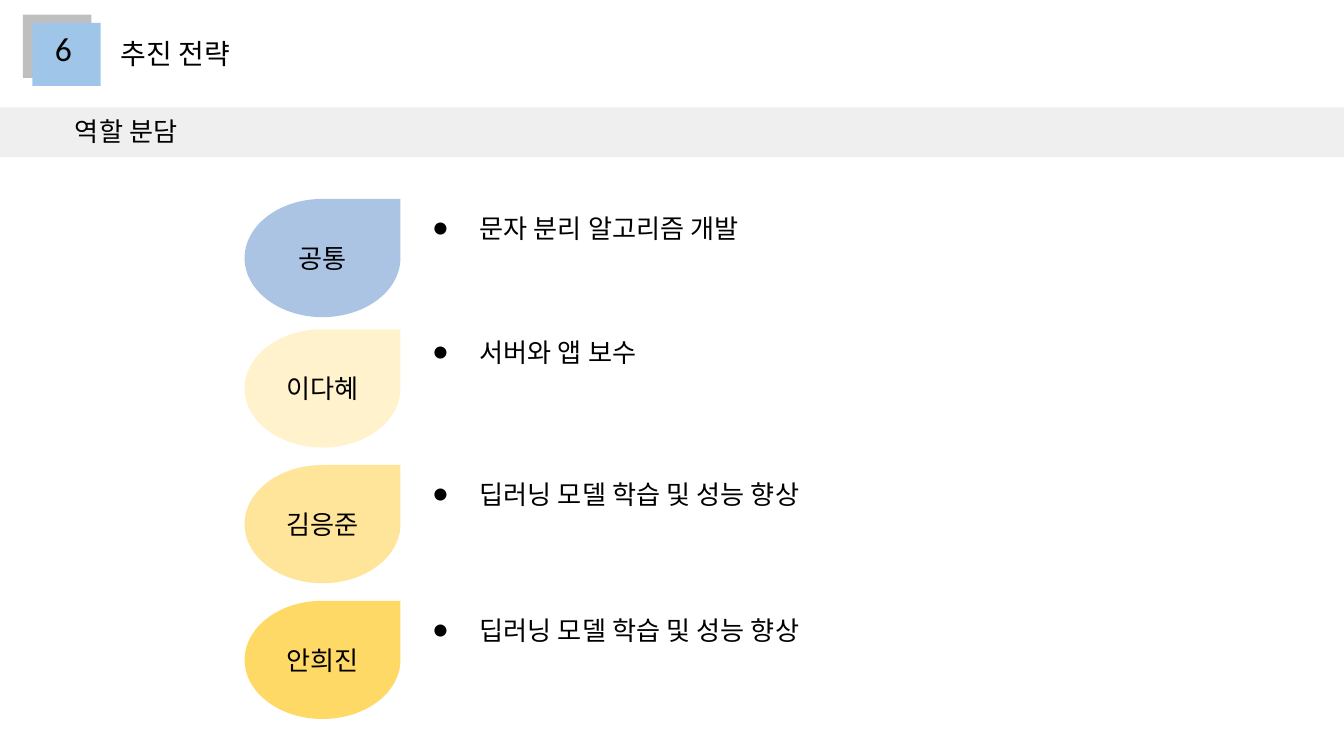
from dataclasses import dataclass

from lxml import etree
from pptx import Presentation
from pptx.dml.color import RGBColor
from pptx.enum.shapes import MSO_SHAPE
from pptx.enum.text import MSO_ANCHOR, PP_ALIGN
from pptx.oxml.ns import qn
from pptx.util import Inches, Pt

RECTANGLE, TEARDROP = MSO_SHAPE.RECTANGLE, MSO_SHAPE.TEAR
TOP, MIDDLE = MSO_ANCHOR.TOP, MSO_ANCHOR.MIDDLE
LEFT, CENTER = PP_ALIGN.LEFT, PP_ALIGN.CENTER

SECTION_NUMBER = "6"
SECTION_TITLE = "추진 전략"
SUBTITLE = "역할 분담"
ROLES = [
    {"member": "공통", "task": "문자 분리 알고리즘 개발", "color": "ACC4E4", "top": 1.48, "task_top": 1.48},
    {"member": "이다혜", "task": "서버와 앱 보수", "color": "FFF2CC", "top": 2.45, "task_top": 2.4},
    {"member": "김응준", "task": "딥러닝 모델 학습 및 성능 향상", "color": "FFE599", "top": 3.46, "task_top": 3.46},
    {"member": "안희진", "task": "딥러닝 모델 학습 및 성능 향상", "color": "FFD966", "top": 4.47, "task_top": 4.47},
]


@dataclass(frozen=True)
class Theme:
    ink: str = "000000"
    badge_back: str = "BFBFBF"
    badge: str = "9FC5E8"
    band: str = "EFEFEF"
    body_font: str = "Calibri"
    member_font: str = "Arial"
    number_size: int = 18
    title_size: int = 15
    body_size: int = 14


THEME = Theme()
WIDTH = 10
HEIGHT = WIDTH * 9 / 16
MEMBER_LEFT, MEMBER_WIDTH, MEMBER_HEIGHT = 1.82, 1.16, 0.88
TASK_LEFT, TASK_WIDTH, TASK_HEIGHT = 2.97, 5.76, 0.74
INSET = 0.1


def write(holder, words, size, font, align=LEFT, anchor=TOP):
    frame = holder.text_frame
    frame.text = words
    frame.word_wrap = True
    frame.vertical_anchor = anchor
    frame.margin_left = frame.margin_right = Inches(INSET)
    frame.margin_top = frame.margin_bottom = Inches(INSET)
    paragraph = frame.paragraphs[0]
    paragraph.alignment = align
    run = paragraph.runs[0]
    run.font.size = Pt(size)
    run.font.name = font
    run.font.color.rgb = RGBColor.from_string(THEME.ink)
    for script in ("a:ea", "a:cs"):
        etree.SubElement(run._r.get_or_add_rPr(), qn(script), typeface=font)
    return paragraph


def add_filled(slide, preset, area, color):
    filled = slide.shapes.add_shape(preset, *map(Inches, area))
    filled.shadow.inherit = False
    filled.fill.solid()
    filled.fill.fore_color.rgb = RGBColor.from_string(color)
    filled.line.fill.background()
    return filled


def add_label(slide, area, words, size):
    label = slide.shapes.add_textbox(*map(Inches, area))
    return write(label, words, size, THEME.body_font)


def add_bullet(paragraph):
    properties = paragraph._p.get_or_add_pPr()
    properties.set("marL", str(Inches(0.5)))
    properties.set("indent", str(Inches(-0.35)))
    bullet_color = etree.SubElement(properties, qn("a:buClr"))
    etree.SubElement(bullet_color, qn("a:srgbClr"), val=THEME.ink)
    etree.SubElement(properties, qn("a:buFont"), typeface=THEME.body_font)
    etree.SubElement(properties, qn("a:buChar"), char="●")


def add_header(slide):
    add_filled(slide, RECTANGLE, (0.17, 0.11, 0.51, 0.47), THEME.badge_back)
    add_filled(slide, RECTANGLE, (0.24, 0.17, 0.51, 0.47), THEME.badge)
    add_label(slide, (0.31, 0.11, 0.92, 0.83), SECTION_NUMBER, THEME.number_size)
    add_label(slide, (0.8, 0.17, 3.2, 0.54), SECTION_TITLE, THEME.title_size)
    add_filled(slide, RECTANGLE, (0, 0.8, WIDTH, 0.37), THEME.band)
    add_label(slide, (0.46, 0.76, 6.57, 0.31), SUBTITLE, THEME.body_size)


def add_role(slide, role):
    member_area = (MEMBER_LEFT, role["top"], MEMBER_WIDTH, MEMBER_HEIGHT)
    member = add_filled(slide, TEARDROP, member_area, role["color"])
    write(member, role["member"], THEME.body_size, THEME.member_font, CENTER, MIDDLE)
    task_area = (TASK_LEFT, role["task_top"], TASK_WIDTH, TASK_HEIGHT)
    add_bullet(add_label(slide, task_area, role["task"], THEME.body_size))


def main():
    deck = Presentation()
    deck.slide_width, deck.slide_height = Inches(WIDTH), Inches(HEIGHT)
    slide = deck.slides.add_slide(deck.slide_layouts[6])
    for role in ROLES:
        add_role(slide, role)
    add_header(slide)
    deck.save("out.pptx")


if __name__ == "__main__":
    main()
